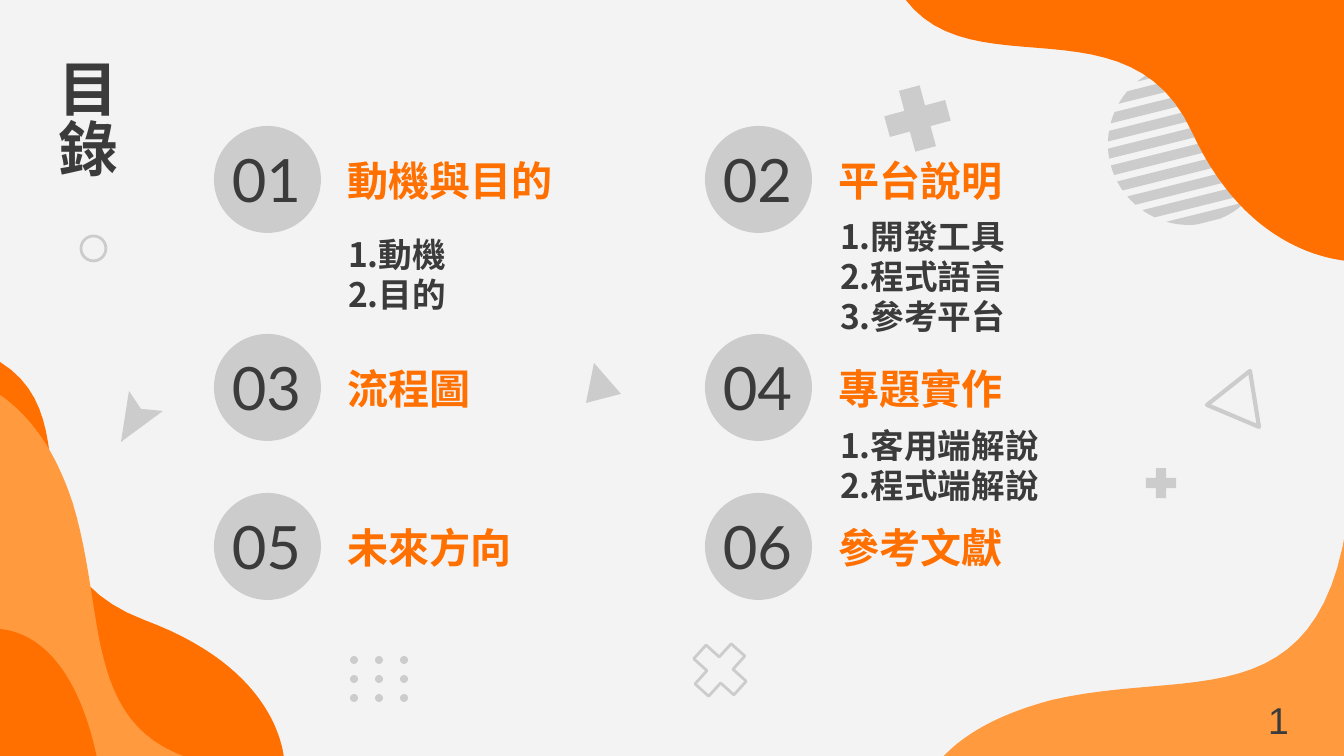
from dataclasses import dataclass
from itertools import product
from math import cos, radians, sin, sqrt

from lxml.etree import SubElement
from pptx import Presentation
from pptx.dml.color import RGBColor
from pptx.enum.shapes import MSO_SHAPE as Preset
from pptx.enum.text import MSO_ANCHOR as Anchor, MSO_AUTO_SIZE as AutoSize, PP_ALIGN as Align
from pptx.oxml.ns import qn
from pptx.util import Pt

WIDTH, HEIGHT = 1344, 756
SCALE = 9144000 / WIDTH


@dataclass(frozen=True)
class Style:
    font: str
    size: int
    color: str
    bold: bool = False
    leading: float = 0


@dataclass(frozen=True)
class Theme:
    paper: str = "F3F3F3"
    grey: str = "CCCCCC"
    orange: str = "FF7000"
    light: str = "FF9A3F"
    title: Style = Style("Noto Sans CJK SC", 32, "3B3B3B", True)
    heading: Style = Style("Noto Sans CJK SC", 22, "FF7000", True)
    topic: Style = Style("Noto Sans CJK SC", 18, "3B3B3B", True, 21.5)
    number: Style = Style("Lato", 32, "3B3B3B")
    folio: Style = Style("Arial", 20, "3B3B3B")


THEME = Theme()


def emu(px):
    return round(px * SCALE)


def paint(shape, color, line=0):
    shape.shadow.inherit = False
    if line:
        shape.fill.background()
        shape.line.color.rgb = RGBColor.from_string(color)
        shape.line.width = Pt(line)
    else:
        shape.fill.solid()
        shape.fill.fore_color.rgb = RGBColor.from_string(color)
        shape.line.fill.background()


def preset(page, kind, box, color, line=0):
    shape = page.shapes.add_shape(kind, *map(emu, box))
    paint(shape, color, line)
    return shape


def curve(start, control1, control2, end, steps=24):
    for step in range(1, steps + 1):
        t = step / steps
        weights = ((1 - t) ** 3, 3 * t * (1 - t) ** 2, 3 * t * t * (1 - t), t ** 3)
        knots = (start, control1, control2, end)
        yield tuple(sum(w * knot[axis] for w, knot in zip(weights, knots)) for axis in (0, 1))


def outline(page, segments, color, line=0):
    points = [segments[0]]
    for segment in segments[1:]:
        if len(segment) == 2:
            points.append(segment)
        else:
            points.extend(curve(points[-1], segment[:2], segment[2:4], segment[4:]))
    corners = [(emu(x), emu(y)) for x, y in points]
    builder = page.shapes.build_freeform(*corners[0], scale=1.0)
    builder.add_line_segments(corners[1:], close=True)
    paint(builder.convert_to_shape(), color, line)


def write(shape, box, lines, style, align=Align.LEFT):
    shape.left, shape.top, shape.width, shape.height = map(emu, box)
    frame = shape.text_frame
    frame.word_wrap = True
    frame.auto_size = AutoSize.NONE
    frame.vertical_anchor = Anchor.MIDDLE
    frame.margin_left = frame.margin_right = frame.margin_top = frame.margin_bottom = emu(13)
    for index, line in enumerate(lines):
        para = frame.add_paragraph() if index else frame.paragraphs[0]
        properties = para._p.get_or_add_pPr()
        properties.set("marL", "0")
        properties.set("indent", "0")
        SubElement(properties, qn("a:buNone"))
        para.alignment = align
        para.space_before = Pt(0)
        if style.leading:
            para.line_spacing = Pt(style.leading)
        span = para.add_run()
        span.text = line
        span.font.name = style.font
        span.font.size = Pt(style.size)
        span.font.bold = style.bold
        span.font.color.rgb = RGBColor.from_string(style.color)
        SubElement(span._r.get_or_add_rPr(), qn("a:ea")).set("typeface", style.font)


def label(page, box, line, style, align=Align.LEFT):
    write(page.shapes.add_textbox(0, 0, 0, 0), box, [line], style, align)


def striped_disc(page, box, tilt=14, pitch=17, thickness=10):
    left, top, size, _ = box
    radius = size / 2
    across, down = cos(radians(tilt)), sin(radians(tilt))

    def rim(offset, side):
        reach = side * sqrt(radius ** 2 - offset ** 2)
        return (left + radius + reach * across + offset * down,
                top + radius - reach * down + offset * across)

    for band in range(-5, 5):
        upper = 2 + pitch * band
        offsets = [max(-radius, min(radius, upper + thickness * part / 6)) for part in range(7)]
        edge = [rim(offset, 1) for offset in offsets]
        edge += [rim(offset, -1) for offset in reversed(offsets)]
        outline(page, edge, THEME.grey)


def blobs(page, box):
    left, top, width, height = box
    right, bottom = left + width + 3, top + height + 2
    outline(page, [(right, top), (right, 261), (1310, 257, 1239, 234, 1192, 132),
                   (1130, -3, 973, 90, 905, -1)], THEME.orange)
    outline(page, [(left, bottom), (284, bottom), (280, 726, 255, 661, 144, 620),
                   (-3, 564, 98, 423, left, 362)], THEME.orange)
    outline(page, [(left, bottom), (188, bottom), (83, 722, 106, 613, 73, 504),
                   (54, 445, 26, 413, left, 395)], THEME.light)
    outline(page, [(97, bottom), (89, 719, 65, 636, left, 629), (left, bottom)], THEME.orange)
    outline(page, [(right, bottom), (right, 523), (1317, 720, 1188, 668, 1052, 700),
                   (999, 714, 964, 734, 942, bottom)], THEME.light)


def dot_grid(page, box):
    left, top, width, height = box
    dot = 8
    for row, column in product(range(3), repeat=2):
        place = (left + column * (width - dot) / 2, top + row * (height - dot) / 2, dot, dot)
        preset(page, Preset.OVAL, place, THEME.grey)


def cross(page, box, turn=0, line=0):
    shape = preset(page, Preset.CROSS, box, THEME.grey, line)
    shape.adjustments[0] = 0.33
    shape.rotation = turn


def ornaments(page):
    preset(page, Preset.OVAL, (81, 236, 25, 25), THEME.grey, 1.5)
    outline(page, [(129, 391), (121, 442), (163, 411), (141, 409)], THEME.grey)
    outline(page, [(594, 363), (586, 403), (621, 394)], THEME.grey)
    outline(page, [(1259, 427), (1250, 371), (1207, 405)], THEME.grey, 2.25)
    dot_grid(page, (350, 656, 58, 46))
    cross(page, (693, 643, 54, 54), 42, 1.5)
    cross(page, (886, 87, 63, 63), -15)
    cross(page, (1146, 468, 30, 30))


def entry(page, box, number, heading):
    left, top, width, height = box
    preset(page, Preset.OVAL, (left + 6, top, height, height), THEME.grey)
    label(page, (left, top + 18, 117, 70), number, THEME.number, Align.CENTER)
    label(page, (left + 127, top + 18, width - 127, 72), heading, THEME.heading)


def contents_page(deck):
    page = deck.slides.add_slide(deck.slide_layouts[4])
    page.background.fill.solid()
    page.background.fill.fore_color.rgb = RGBColor.from_string(THEME.paper)
    striped_disc(page, (1108, 63, 162, 162))
    blobs(page, (0, 0, WIDTH, HEIGHT))
    ornaments(page)

    write(page.shapes.title, (35, 46, 103, 267), ["目錄"], THEME.title)
    page.shapes.title.text_frame._txBody.bodyPr.set("vert", "eaVert")

    headings = ["動機與目的", "平台說明", "流程圖", "專題實作", "未來方向", "參考文獻"]
    places = product((126, 334, 493), (208, 699))
    for order, ((top, left), heading) in enumerate(zip(places, headings), 1):
        entry(page, (left, top, 432, 107), f"{order:02}", heading)

    lists = [
        (335, 216, ["1.動機", "2.目的"]),
        (827, 218, ["1.開發工具", "2.程式語言", "3.參考平台"]),
        (827, 407, ["1.客用端解說", "2.程式端解說"]),
    ]
    *bodies, spare = list(page.placeholders)[1:]
    for body, (left, top, topics) in zip(bodies, lists):
        write(body, (left, top, 309, 117), topics, THEME.topic)
    spare.element.getparent().remove(spare.element)

    label(page, (989, 700, 313, 40), "1", THEME.folio, Align.RIGHT)


def main():
    deck = Presentation()
    deck.slide_width, deck.slide_height = emu(WIDTH), emu(HEIGHT)
    contents_page(deck)
    deck.save("out.pptx")


if __name__ == "__main__":
    main()
